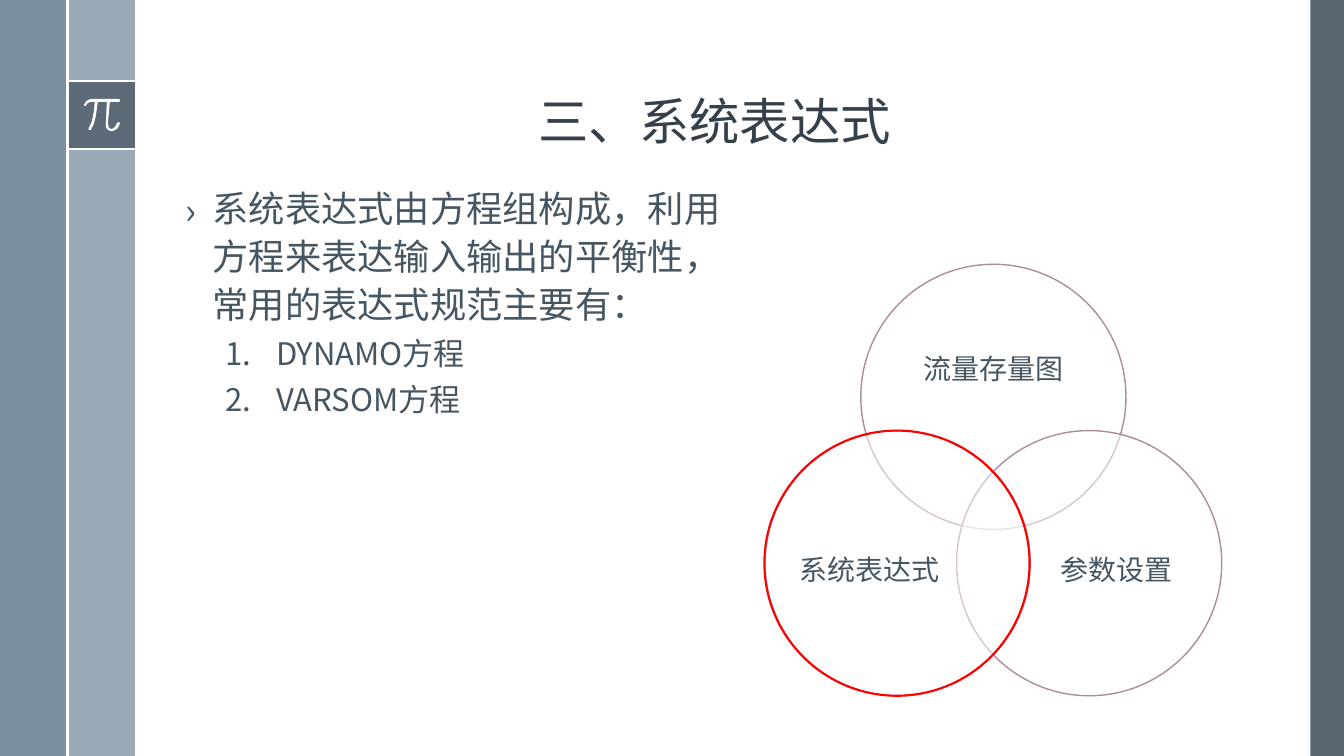
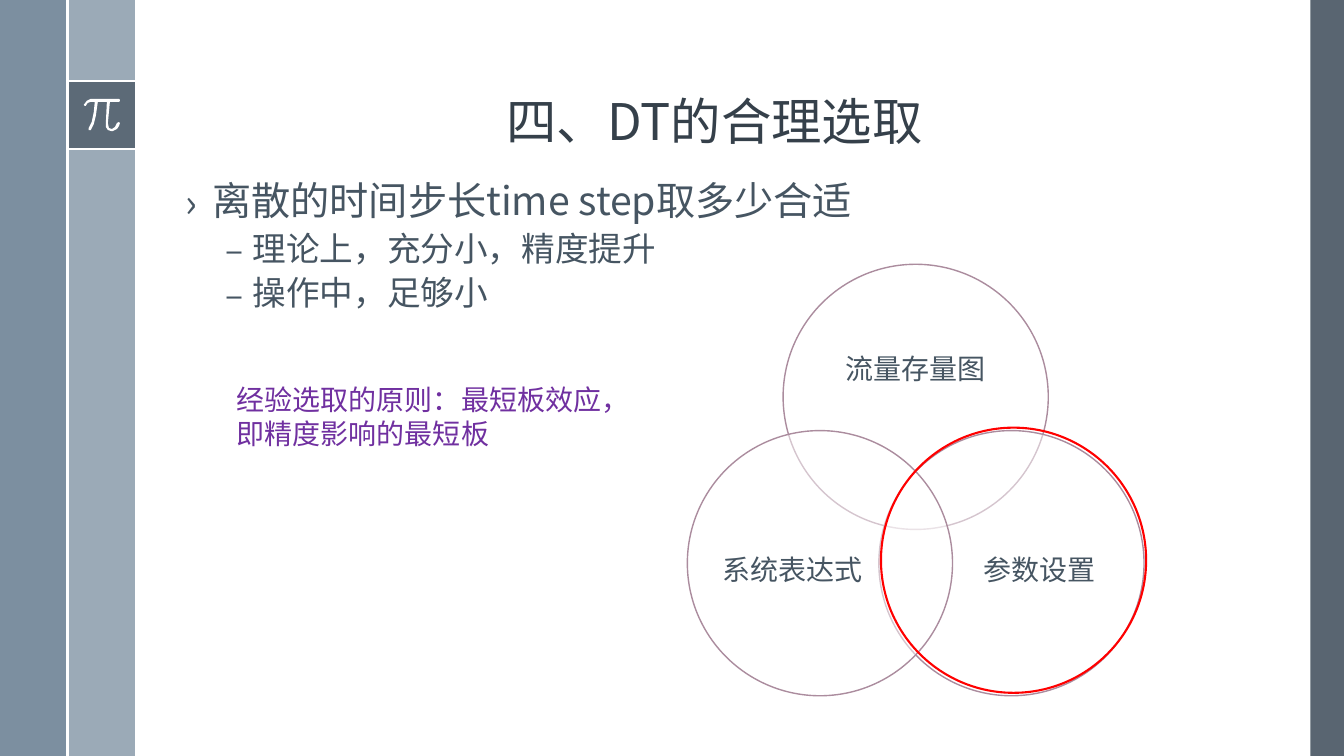
from dataclasses import dataclass

from lxml import etree
from pptx import Presentation
from pptx.dml.color import RGBColor
from pptx.enum.lang import MSO_LANGUAGE_ID
from pptx.enum.shapes import MSO_CONNECTOR, MSO_SHAPE
from pptx.enum.text import MSO_ANCHOR, PP_ALIGN
from pptx.oxml.ns import qn
from pptx.util import Pt


@dataclass(frozen=True)
class Theme:
    """Colours, fonts and type sizes of the deck."""
    white: str = "FFFFFF"
    dark: str = "475562"
    light: str = "9BAAB7"
    blue: str = "6A8093"
    title: str = "35404A"
    text: str = "465562"
    ring: str = "AB8C9E"
    accent: str = "FF0000"
    note: str = "7030A0"
    cjk: str = "Noto Sans CJK SC"
    latin: str = "Arial"
    title_size: float = 36
    label_size: float = 20
    compact_sizes: tuple = (25.9, 22.2)
    body_sizes: tuple = (28, 24)


T = Theme()
WIDTH, HEIGHT = 960, 540
BAND = 48.2
PI_GRID = (37, 32)
PI_OUTLINE = [
    (35, 0), (7, 0), (3, 2), (0, 6), (1, 7), (2, 7), (4, 4), (7, 3), (11, 3),
    (10, 13), (8, 23), (5, 29), (5, 31), (6, 31), (7, 31), (10, 25), (12, 17),
    (14, 3), (23, 3), (22, 24), (22, 28), (24, 31), (27, 32), (29, 32),
    (33, 30), (35, 27), (36, 24), (35, 23), (33, 24), (31, 28), (28, 30),
    (25, 29), (24, 24), (26, 3), (35, 3), (36, 2), (36, 1),
]


def pts(*values):
    """Turn plain numbers into point lengths."""
    return [Pt(v) for v in values]


def paint(shape, fill=None, alpha=100, line=None, weight=1):
    """Set fill, opacity in percent and outline of a shape."""
    shape.shadow.inherit = False
    if fill:
        shape.fill.solid()
        shape.fill.fore_color.rgb = RGBColor.from_string(fill)
        if alpha < 100:
            solid = shape._element.spPr.find(qn("a:solidFill"))
            color = solid.find(qn("a:srgbClr"))
            etree.SubElement(color, qn("a:alpha")).set("val", str(alpha * 1000))
    else:
        shape.fill.background()
    if line:
        shape.line.color.rgb = RGBColor.from_string(line)
        shape.line.width = Pt(weight)
    else:
        shape.line.fill.background()


def add_rule(slide, x1, y1, x2, y2):
    """Draw a white separator line."""
    rule = slide.shapes.add_connector(MSO_CONNECTOR.STRAIGHT, *pts(x1, y1, x2, y2))
    rule.line.color.rgb = RGBColor.from_string(T.white)
    rule.line.width = Pt(1.5)
    etree.SubElement(rule._element.spPr, qn("a:effectLst"))


def add_frame(shapes, box, anchor=MSO_ANCHOR.TOP, insets=(7.2, 3.6, 7.2, 3.6)):
    """Add a wrapping text box and return its text frame."""
    frame = shapes.add_textbox(*pts(*box)).text_frame
    frame.word_wrap = True
    frame.vertical_anchor = anchor
    (frame.margin_left, frame.margin_top,
     frame.margin_right, frame.margin_bottom) = pts(*insets)
    return frame


def write(paragraph, text, size, color, font=T.cjk, spacing=None, align=None):
    """Write one run into a paragraph."""
    paragraph.alignment = align
    paragraph.line_spacing = spacing
    run = paragraph.add_run()
    run.text = text
    run.font.size = Pt(size)
    run.font.name = font
    run.font.language_id = MSO_LANGUAGE_ID.SIMPLIFIED_CHINESE
    run.font.color.rgb = RGBColor.from_string(color)
    latin = run.font._element.find(qn("a:latin"))
    east = etree.Element(qn("a:ea"))
    east.set("typeface", T.cjk)
    latin.addnext(east)


def set_bullet(paragraph, mark, left, hang):
    """Give a paragraph a bullet character, or numbering for '1.'."""
    props = paragraph._p.get_or_add_pPr()
    props.set("marL", str(Pt(left)))
    props.set("indent", str(-Pt(hang)))
    if mark == "1.":
        etree.SubElement(props, qn("a:buFont")).set("typeface", "+mj-lt")
        etree.SubElement(props, qn("a:buAutoNum")).set("type", "arabicPeriod")
    else:
        etree.SubElement(props, qn("a:buFont")).set("typeface", T.cjk)
        etree.SubElement(props, qn("a:buChar")).set("char", mark)


def draw_pi(slide, box):
    """Draw the pi sign inside the box."""
    left, top, width, height = box
    points = [(Pt(left + x * width / PI_GRID[0]), Pt(top + y * height / PI_GRID[1]))
              for x, y in PI_OUTLINE]
    builder = slide.shapes.build_freeform(*points[0])
    builder.add_line_segments(points[1:], close=True)
    paint(builder.convert_to_shape(), T.white)


def draw_bands(slide, box):
    """Draw the side bands and the pi badge."""
    left, top, width, height = box
    badge_top = top + 58
    inner = left + BAND
    for x, y, w, h, color, alpha in (
            (left + width - 24, top, 24, height, T.dark, 90),
            (inner, top, BAND, height, T.light, 100),
            (left, top, BAND, height, T.blue, 88),
            (inner, badge_top, BAND, BAND, T.dark, 75)):
        paint(slide.shapes.add_shape(MSO_SHAPE.RECTANGLE, *pts(x, y, w, h)), color, alpha)
    for y in (badge_top, badge_top + BAND):
        add_rule(slide, inner, y, inner + BAND, y)
    draw_pi(slide, (inner + 11.6, badge_top + 12.6, 26.6, 23))
    add_rule(slide, inner, top, inner, top + height)


def draw_title(slide, text, box=(125.3, 13.7, 770.4, 97.9)):
    """Write the centred slide title."""
    frame = add_frame(slide.shapes, box, MSO_ANCHOR.BOTTOM)
    write(frame.paragraphs[0], text, T.title_size, T.title,
          spacing=0.9, align=PP_ALIGN.CENTER)


def draw_body(slide, box, lead, items, sizes, spacings, item_bullet):
    """Write a lead paragraph and its second-level items."""
    frame = add_frame(slide.shapes, box)
    first = frame.paragraphs[0]
    write(first, lead, sizes[0], T.text, spacing=spacings[0])
    set_bullet(first, "›", 19.4, 19.4)
    for item in items:
        paragraph = frame.add_paragraph()
        write(paragraph, item, sizes[1], T.text, spacing=spacings[1])
        paragraph.space_before = Pt(6)
        set_bullet(paragraph, *item_bullet)


def draw_venn(slide, box, highlight):
    """Draw three overlapping labelled circles and a red ring at an offset."""
    left, top, diameter = box
    step_x, step_y = 68.4, 118.8
    circles = (
        ("流量存量图", step_x, 0, (25.2, 33.1, 139, 85)),
        ("参数设置", 2 * step_x, step_y, (57.6, 48.4, 113.8, 104.4)),
        ("系统表达式", 0, step_y, (18, 48.4, 113.8, 104.4)),
    )
    group = slide.shapes.add_group_shape()
    for label, dx, dy, (x, y, w, h) in circles:
        circle_left, circle_top = left + dx, top + dy
        circle = group.shapes.add_shape(
            MSO_SHAPE.OVAL, *pts(circle_left, circle_top, diameter, diameter))
        paint(circle, T.white, 50, T.ring)
        frame = add_frame(group.shapes, (circle_left + x, circle_top + y, w, h),
                          MSO_ANCHOR.MIDDLE, (0, 0, 0, 0))
        write(frame.paragraphs[0], label, T.label_size, T.text, T.latin,
              0.9, PP_ALIGN.CENTER)
    dx, dy = highlight
    ring = slide.shapes.add_shape(
        MSO_SHAPE.OVAL, *pts(left + dx, top + dy, diameter, diameter))
    paint(ring, line=T.accent, weight=1.5)


def draw_note(slide, text, box):
    """Write the purple remark."""
    frame = add_frame(slide.shapes, box)
    write(frame.paragraphs[0], text, T.label_size, T.note, T.latin)


def new_slide(deck, title):
    """Add a blank slide with bands and title."""
    slide = deck.slides.add_slide(deck.slide_layouts[6])
    draw_bands(slide, (0, 0, WIDTH, HEIGHT))
    draw_title(slide, title)
    return slide


def expression_slide(deck):
    """Build the slide on system expressions."""
    slide = new_slide(deck, "三、系统表达式")
    draw_body(slide, (125.3, 126.7, 411.1, 180.7),
              "系统表达式由方程组构成，利用方程来表达输入输出的平衡性，常用的表达式规范主要有：",
              ("DYNAMO方程", "VARSOM方程"), T.compact_sizes, (1.1, 1.0), ("1.", 64.8, 36))
    draw_venn(slide, (546.5, 188.8, 189.4), (-0.5, 118.8))


def step_slide(deck):
    """Build the slide on choosing the time step."""
    slide = new_slide(deck, "四、DT的合理选取")
    draw_body(slide, (125.3, 126, 770.4, 360), "离散的时间步长time step取多少合适",
              ("理论上，充分小，精度提升", "操作中，足够小"),
              T.body_sizes, (0.9, 0.9), ("–", 48.2, 19.4))
    draw_note(slide, "经验选取的原则：最短板效应，即精度影响的最短板", (162, 270, 283.7, 55.4))
    draw_venn(slide, (491, 188.8, 189.4), (138.3, 116.7))


def main():
    """Build and save the deck."""
    deck = Presentation()
    deck.slide_width, deck.slide_height = pts(WIDTH, HEIGHT)
    expression_slide(deck)
    step_slide(deck)
    deck.save("out.pptx")


main()
